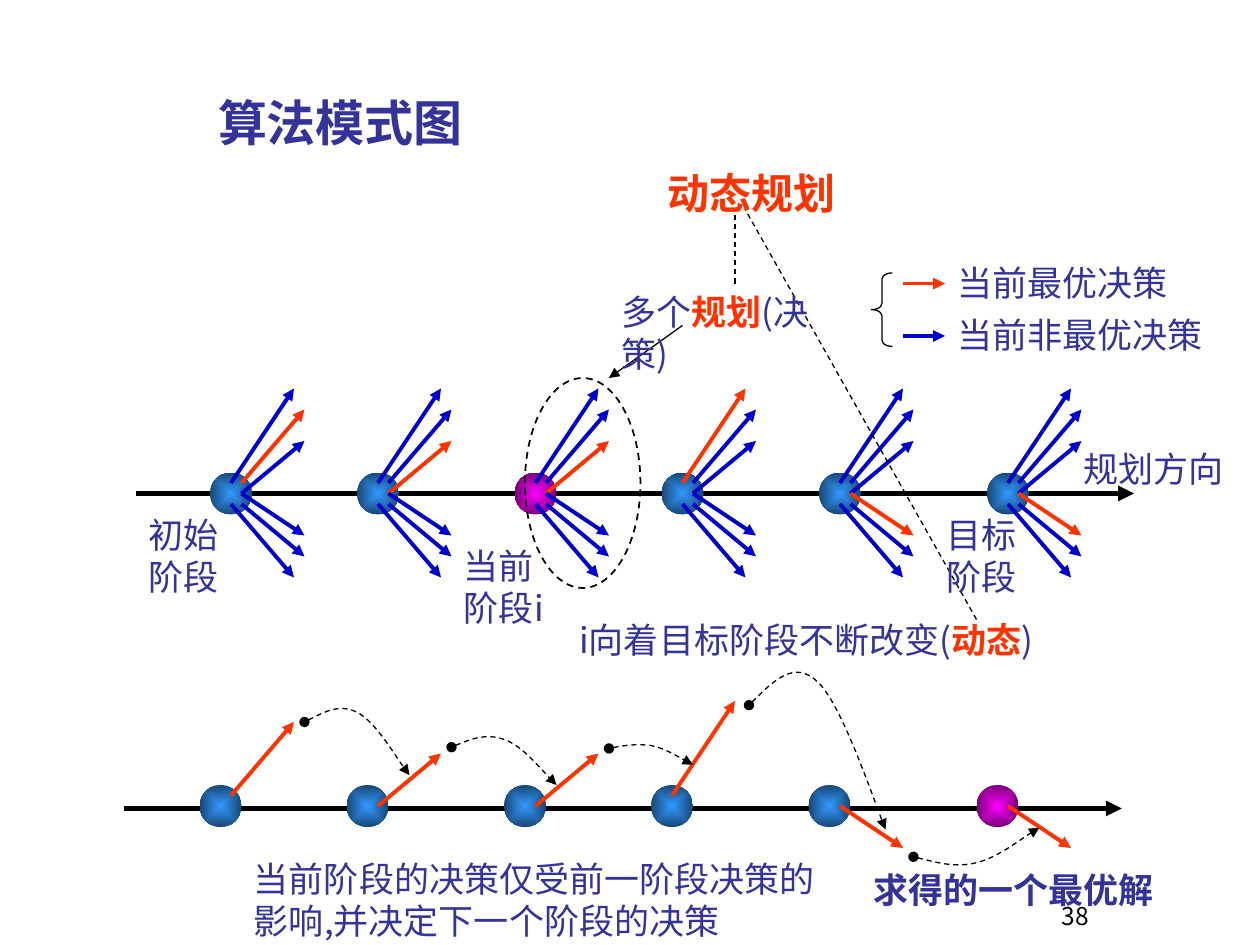
from dataclasses import dataclass

from lxml import etree
from pptx import Presentation
from pptx.dml.color import RGBColor
from pptx.enum import dml, shapes, text
from pptx.oxml.ns import qn
from pptx.util import Pt


@dataclass(frozen=True)
class Theme:
    font: str = "Noto Sans CJK SC"
    ink: str = "333399"
    best: str = "FF3300"
    other: str = "0000CC"
    black: str = "000000"
    ball: tuple = ("3399FF", "184776")
    current: tuple = ("FF00FF", "760076")
    title: int = 28
    heading: int = 24
    body: int = 20
    small: int = 14
    axis: float = 3
    ray: float = 2.25
    thin: float = 0.75


T = Theme()


@dataclass(frozen=True)
class Run:
    text: str
    color: str = T.ink
    bold: bool = False


@dataclass(frozen=True)
class Label:
    box: tuple
    runs: tuple
    size: int = T.body


@dataclass(frozen=True)
class Stage:
    x: float
    best: int  # index into RAYS


# Offsets from the centre of a ball: start, end
RAYS = (
    ((0, -6), (36, -60)),
    ((6, -6), (42, -48)),
    ((6, 0), (42, -30)),
    ((6, 0), (42, 24)),
    ((6, 6), (42, 36)),
    ((0, 6), (36, 48)),
)
STAGES = (Stage(132, 1), Stage(216, 2), Stage(306, 2),
          Stage(390, 0), Stage(480, 3), Stage(576, 3))
CURRENT_STAGE, FINAL_STAGE = 2, 5
TOP_Y, BOTTOM_Y, BOTTOM_SHIFT = 282, 460.6, -6

# Each curve: a start point, then two cubic segments
INFLUENCES = (
    ((428, 403), (441, 390), (454, 377), (467, 389.5), (480, 401), (500, 459), (506, 474)),
    ((174, 412.6), (184, 407.5), (194, 402), (204, 407), (214, 412), (229, 437), (234, 443)),
    ((258, 427), (268, 422.6), (278, 419), (288, 422.6), (298, 426), (313, 444), (318, 448.6)),
    ((348, 427.7), (356, 426), (364, 425), (372, 426), (380, 427.7), (392, 435), (396, 437)),
    ((522, 489.6), (534, 492.5), (546, 496), (558, 493), (570, 490), (588, 476), (594, 473)),
)

LABELS = (
    Label((258, 306, 72, 55), (Run("当前阶段i"),)),
    Label((348, 160.5, 144, 31),
          (Run("多个"), Run("规划", T.best, True), Run("(决策)"))),
    Label((540, 144, 150, 31), (Run("当前最优决策"),)),
    Label((540, 174, 156, 31), (Run("当前非最优决策"),)),
    Label((324, 348, 288, 31),
          (Run("i向着目标阶段不断改变("), Run("动态", T.best, True), Run(")"))),
    Label((612, 250.5, 102, 31), (Run("规划方向"),)),
    Label((534, 288, 66, 55), (Run("目标阶段"),)),
    Label((78, 288, 72, 55), (Run("初始阶段"),)),
    Label((492, 491, 186, 31), (Run("求得的一个最优解", bold=True),)),
    Label((138, 484.6, 336, 55),
          (Run("当前阶段的决策仅受前一阶段决策的影响,并决定下一个阶段的决策"),)),
    Label((374.4, 90, 132, 36.7), (Run("动态规划", T.best, True),), T.heading),
)


def rgb(color: str) -> RGBColor:
    return RGBColor.from_string(color)


def assign(obj, **values) -> None:
    for name, value in values.items():
        setattr(obj, name, value)


def write(sp, runs: tuple, size: int, align=text.PP_ALIGN.LEFT, **frame) -> None:
    """Set one paragraph on a 1.2 em line, lowered a little to centre the glyphs."""
    tf, drop = sp.text_frame, 0.09 * size
    assign(tf, word_wrap=True, margin_top=Pt(3.6 + drop), margin_bottom=Pt(3.6 - drop), **frame)
    p = tf.paragraphs[0]
    assign(p, alignment=align, line_spacing=Pt(1.2 * size),
           space_before=Pt(0), space_after=Pt(0))
    for run in runs:
        r = p.add_run()
        r.text = run.text
        assign(r.font, size=Pt(size), bold=run.bold, name=T.font)
        r.font.color.rgb = rgb(run.color)
        etree.SubElement(r.font._element, qn("a:ea")).set("typeface", T.font)


def add_label(s, label: Label, **options) -> None:
    sp = s.shapes.add_textbox(*map(Pt, label.box))
    options.setdefault("auto_size", text.MSO_AUTO_SIZE.SHAPE_TO_FIT_TEXT)
    write(sp, label.runs, label.size, **options)


def style_line(sp, color: str, width: float, dashed=False, head="", tail="") -> None:
    sp.line.color.rgb = rgb(color)
    sp.line.width = Pt(width)
    if dashed:
        sp.line.dash_style = dml.MSO_LINE.DASH
    ln = sp.line._get_or_add_ln()
    for tag, kind in (("a:headEnd", head), ("a:tailEnd", tail)):
        if kind:
            etree.SubElement(ln, qn(tag)).set("type", kind)


def add_line(s, start: tuple, end: tuple, color: str, width: float,
             dashed=False, tail="triangle") -> None:
    sp = s.shapes.add_connector(shapes.MSO_CONNECTOR.STRAIGHT, *map(Pt, start + end))
    style_line(sp, color, width, dashed, tail=tail)
    etree.SubElement(sp._element.spPr, qn("a:effectLst"))


def add_outline(s, kind, box: tuple, width: float, dashed=False):
    sp = s.shapes.add_shape(kind, *map(Pt, box))
    sp.shadow.inherit = False
    sp.fill.background()
    style_line(sp, T.black, width, dashed)
    return sp


def add_ball(s, x: float, y: float, colors: tuple) -> None:
    sp = s.shapes.add_shape(shapes.MSO_SHAPE.OVAL, *map(Pt, (x - 12, y - 12, 24, 24)))
    sp.shadow.inherit = False
    sp.line.fill.background()
    sp.fill.gradient()
    for stop, color, position in zip(sp.fill.gradient_stops, colors, (0, 1)):
        stop.color.rgb = rgb(color)
        stop.position = position
    grad = sp._element.spPr.find(qn("a:gradFill"))
    grad.remove(grad.find(qn("a:lin")))
    radial = etree.SubElement(grad, qn("a:path"))
    radial.set("path", "shape")
    focus = etree.SubElement(radial, qn("a:fillToRect"))
    for side in "ltrb":
        focus.set(side, "50000")


def add_ray(s, x: float, y: float, index: int, color: str) -> None:
    start, end = ((x + dx, y + dy) for dx, dy in RAYS[index])
    add_line(s, start, end, color, T.ray)


def add_curve(s, points: tuple) -> None:
    """Draw a freeform through its control points, then make each three a cubic."""
    start, *rest = [tuple(map(Pt, point)) for point in points]
    builder = s.shapes.build_freeform(*start)
    builder.add_line_segments(rest, close=False)
    sp = builder.convert_to_shape()
    sp.shadow.inherit = False
    sp.fill.background()
    style_line(sp, T.black, T.thin, True, "oval", "triangle")
    segments = list(sp._element.iter(qn("a:lnTo")))
    outline = segments[0].getparent()
    for i in range(0, len(segments), 3):
        cubic = etree.SubElement(outline, qn("a:cubicBezTo"))
        for segment in segments[i:i + 3]:
            cubic.append(segment[0])
            outline.remove(segment)


def main() -> None:
    prs = Presentation()
    assign(prs, slide_width=Pt(720), slide_height=Pt(540))
    s = prs.slides.add_slide(prs.slide_layouts[5])
    title = s.shapes.title
    assign(title, left=Pt(117.4), top=Pt(44.6), width=Pt(613.4), height=Pt(43.2))
    write(title, (Run("算法模式图", bold=True),), T.title,
          vertical_anchor=text.MSO_ANCHOR.BOTTOM, auto_size=text.MSO_AUTO_SIZE.NONE)
    add_label(s, Label((500.4, 498.2, 228, 36), (Run("38", T.black),), T.small),
              align=text.PP_ALIGN.CENTER, vertical_anchor=text.MSO_ANCHOR.BOTTOM,
              auto_size=text.MSO_AUTO_SIZE.NONE)

    add_line(s, (78, 282), (648, 282), T.black, T.axis)
    add_line(s, (70.6, 462), (641, 462), T.black, T.axis)
    for i, stage in enumerate(STAGES):
        add_ball(s, stage.x, TOP_Y, T.current if i == CURRENT_STAGE else T.ball)
        for ray in range(len(RAYS)):
            add_ray(s, stage.x, TOP_Y, ray, T.best if ray == stage.best else T.other)
        x = stage.x + BOTTOM_SHIFT
        add_ball(s, x, BOTTOM_Y, T.current if i == FINAL_STAGE else T.ball)
        add_ray(s, x, BOTTOM_Y, stage.best, T.best)
    for points in INFLUENCES:
        add_curve(s, points)

    add_outline(s, shapes.MSO_SHAPE.OVAL, (300, 216, 66, 120), 1, dashed=True)
    add_line(s, (390, 186), (348, 216), T.black, T.thin)
    brace = add_outline(s, shapes.MSO_SHAPE.LEFT_BRACE, (498, 156, 12, 42), T.thin)
    brace.adjustments[0] = 0.29
    for y, color in ((162, T.best), (192, T.other)):
        add_line(s, (516, y), (540, y), color, T.ray)
    for start, end in (((420, 162), (420, 120)), ((558, 354), (426, 120))):
        add_line(s, start, end, T.black, T.thin, dashed=True, tail="")
    for label in LABELS:
        add_label(s, label)
    prs.save("out.pptx")


if __name__ == "__main__":
    main()
